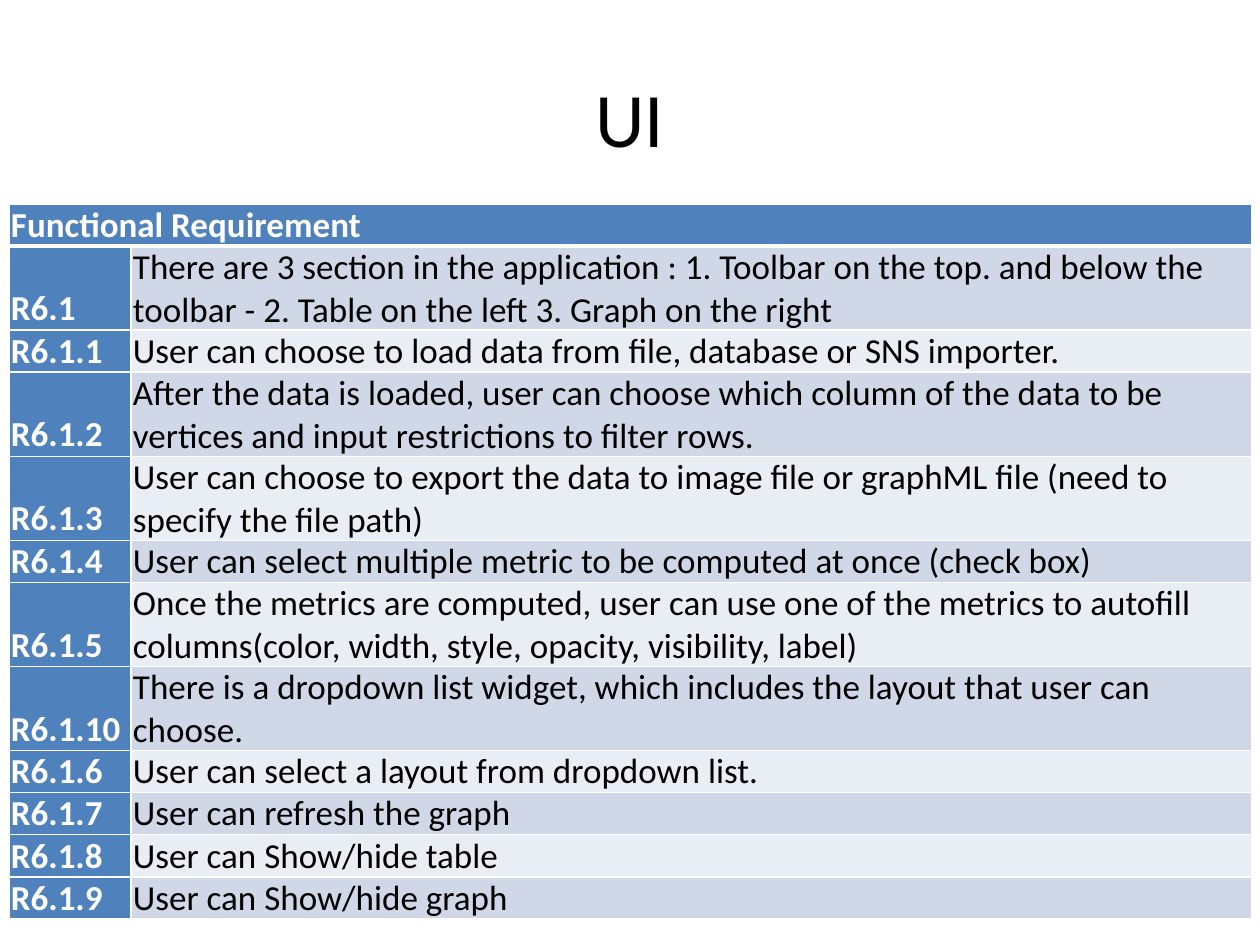
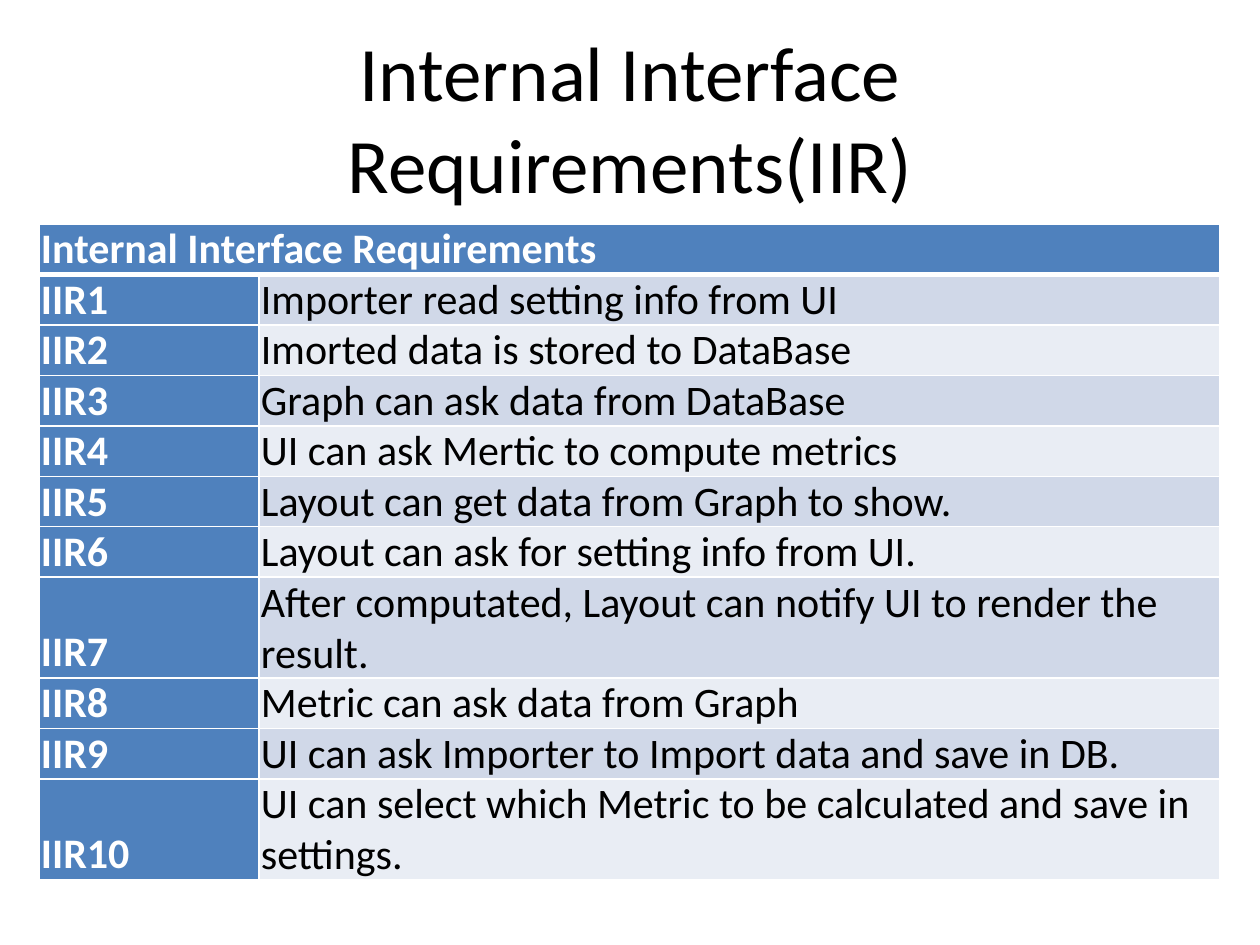
from lxml.etree import SubElement
from pptx import Presentation
from pptx.dml.color import RGBColor
from pptx.enum.text import MSO_ANCHOR, PP_ALIGN
from pptx.oxml.ns import qn
from pptx.util import Emu, Pt

FONT = "Calibri"
BLACK, WHITE, BLUE = "000000", "FFFFFF", "4F81BD"
BANDS = ("D0D8E8", "E9EDF4")
PIXELS_PER_INCH = 126
TITLE_BOX = (63, 38, 1134, 157)
CELL_FORMAT = {
    "margin_left": 2,
    "margin_right": 2,
    "margin_top": 0,
    "margin_bottom": 0,
}

UI_REQUIREMENTS = [
    ("R6.1", "There are 3 section in the application : 1. Toolbar on the top. "
             "and below the toolbar - 2. Table on the left 3. Graph on the right", 2),
    ("R6.1.1", "User can choose to load data from file, database or SNS importer.", 1),
    ("R6.1.2", "After the data is loaded, user can choose which column of the data "
               "to be vertices and input restrictions to filter rows.", 2),
    ("R6.1.3", "User can choose to export the data to image file or graphML file "
               "(need to specify the file path)", 2),
    ("R6.1.4", "User can select multiple metric to be computed at once (check box)", 1),
    ("R6.1.5", "Once the metrics are computed, user can use one of the metrics to "
               "autofill columns(color, width, style, opacity, visibility, label)", 2),
    ("R6.1.10", "There is a dropdown list widget, which includes the layout that "
                "user can choose.", 2),
    ("R6.1.6", "User can select a layout from dropdown list.", 1),
    ("R6.1.7", "User can refresh the graph", 1),
    ("R6.1.8", "User can Show/hide table", 1),
    ("R6.1.9", "User can Show/hide graph", 1),
]

INTERFACE_REQUIREMENTS = [
    ("IIR1", "Importer read setting info from UI", 1),
    ("IIR2", "Imorted data is stored to DataBase", 1),
    ("IIR3", "Graph can ask data from DataBase", 1),
    ("IIR4", "UI can ask Mertic to compute metrics", 1),
    ("IIR5", "Layout can get data from Graph to show.", 1),
    ("IIR6", "Layout can ask for setting info from UI.", 1),
    ("IIR7", "After computated, Layout can notify UI to render the result.", 2),
    ("IIR8", "Metric can ask data from Graph", 1),
    ("IIR9", "UI can ask Importer to Import data and save in DB.", 1),
    ("IIR10", "UI can select which Metric to be calculated and save in settings.", 2),
]


def px(length):
    """Turn whole pixels into EMU."""
    return Emu(round(length * 914400 / PIXELS_PER_INCH))


def color(hex_value):
    """Turn a hex string into a colour."""
    return RGBColor.from_string(hex_value)


def write(frame, words, size, ink, bold=False):
    """Write one formatted run and return its paragraph."""
    paragraph = frame.paragraphs[0]
    run = paragraph.add_run()
    run.text = words
    for name, value in {"name": FONT, "size": Pt(size), "bold": bold}.items():
        setattr(run.font, name, value)
    run.font.color.rgb = color(ink)
    return paragraph


def add_borders(cell, widths):
    """Draw white borders of the given widths on the sides of a cell."""
    properties = cell._tc.get_or_add_tcPr()
    for side, width in widths.items():
        line = SubElement(properties, qn(f"a:ln{side}"), w=str(Pt(width)))
        fill = SubElement(line, qn("a:solidFill"))
        SubElement(fill, qn("a:srgbClr"), val=WHITE)


def fill_cell(cell, words, size, ink, bold, background, top=1, bottom=1):
    """Style one table cell and write its text."""
    for name, value in CELL_FORMAT.items():
        setattr(cell, name, px(value))
    cell.vertical_anchor = MSO_ANCHOR.BOTTOM
    add_borders(cell, {"L": 1, "R": 1, "T": top, "B": bottom})
    cell.fill.solid()
    cell.fill.fore_color.rgb = color(background)
    if words:
        write(cell.text_frame, words, size, ink, bold)


def add_title(slide, box, words):
    """Place the centred slide title in its box."""
    frame = slide.shapes.add_textbox(*map(px, box)).text_frame
    frame.word_wrap = True
    frame.vertical_anchor = MSO_ANCHOR.MIDDLE
    write(frame, words, 44, BLACK).alignment = PP_ALIGN.CENTER


def add_requirements(slide, corner, widths, line_height, size, heading, requirements):
    """Place a table of numbered requirements under one merged heading."""
    left, top = corner
    line_counts = [1] + [lines for _, _, lines in requirements]
    box = (left, top, sum(widths), line_height * sum(line_counts))
    table = slide.shapes.add_table(len(line_counts), 2, *map(px, box)).table
    for column, width in zip(table.columns, widths):
        column.width = px(width)
    for row, lines in zip(table.rows, line_counts):
        row.height = px(line_height * lines)

    table.cell(0, 0).merge(table.cell(0, 1))
    for column, words in enumerate((heading, "")):
        fill_cell(table.cell(0, column), words, size, WHITE, True, BLUE, bottom=3)
    for number, (code, requirement, _) in enumerate(requirements, 1):
        top_border = 3 if number == 1 else 1
        band = BANDS[(number - 1) % 2]
        fill_cell(table.cell(number, 0), code, size, WHITE, True, BLUE, top_border)
        fill_cell(table.cell(number, 1), requirement, size, BLACK, False, band, top_border)


def add_requirement_slide(deck, title, *table_parts):
    """Add a slide with a title and a requirement table."""
    slide = deck.slides.add_slide(deck.slide_layouts[6])
    add_title(slide, TITLE_BOX, title)
    add_requirements(slide, *table_parts)


deck = Presentation()
deck.slide_width, deck.slide_height = px(1260), px(945)
add_requirement_slide(deck, "UI", (9, 204), (122, 1121), 42, 20,
                      "Functional Requirement", UI_REQUIREMENTS)
add_requirement_slide(deck, "Internal Interface Requirements(IIR)", (39, 224), (220, 961), 50, 24,
                      "Internal Interface Requirements", INTERFACE_REQUIREMENTS)
deck.save("out.pptx")
